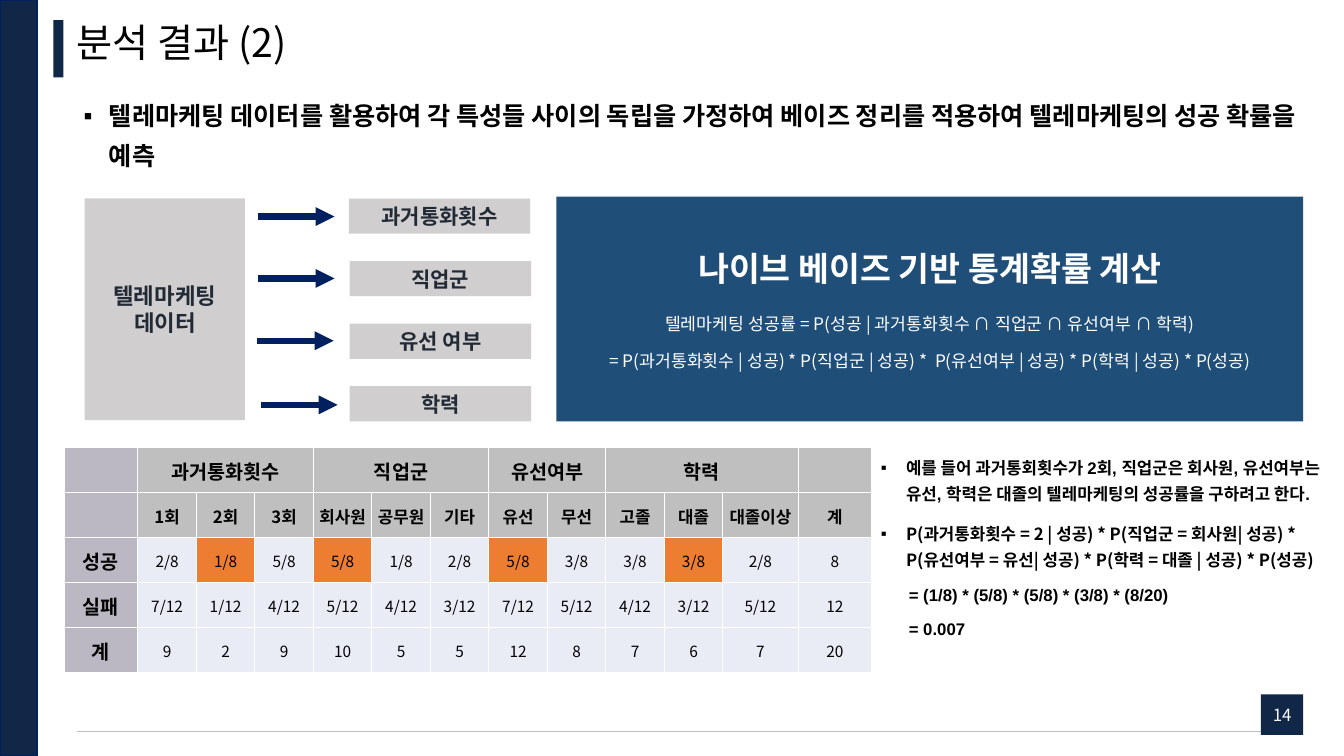
"""Build the naive Bayes telemarketing results slide."""
from lxml import etree
from pptx import Presentation
from pptx.dml.color import RGBColor
from pptx.enum import shapes, text
from pptx.oxml import ns
from pptx.util import Pt

NAVY = RGBColor(0x10, 0x27, 0x47)
ARROW = RGBColor(0x00, 0x20, 0x60)
BLUE = RGBColor(0x1F, 0x4E, 0x79)
GRAY = RGBColor(0xD0, 0xCE, 0xCE)
HEADER = RGBColor(0xBF, 0xBF, 0xBF)
STUB = RGBColor(0xBB, 0xB8, 0xC4)
CELL = RGBColor(0xE9, 0xEB, 0xF5)
ORANGE = RGBColor(0xED, 0x7D, 0x31)
SLATE = RGBColor(0x22, 0x2A, 0x35)
BLACK = RGBColor(0, 0, 0)
WHITE = RGBColor(0xFF, 0xFF, 0xFF)
NOTO = "Noto Sans CJK KR"
ARIAL = "Arial"
CENTER = text.PP_ALIGN.CENTER
MIDDLE = text.MSO_ANCHOR.MIDDLE

TITLE = "분석 결과 (2)"
SUMMARY = ("텔레마케팅 데이터를 활용하여 각 특성들 사이의 독립을 가정하여 "
           "베이즈 정리를 적용하여 텔레마케팅의 성공 확률을 예측")
SOURCE = ["텔레마케팅", "데이터"]
FEATURES = [
    ("과거통화횟수", 249.2, 184.3, 154.7),
    ("직업군", 249.8, 184.3, 198.9),
    ("유선 여부", 249.8, 183.6, 243.4),
    ("학력", 249.8, 186.5, 289.2),
]
FORMULA_TITLE = "나이브 베이즈 기반 통계확률 계산"
FORMULAS = [
    ("텔레마케팅 성공률 = P(성공 | 과거통화횟수 ∩ 직업군 ∩ 유선여부 ∩ 학력)", 18),
    ("= P(과거통화횟수 | 성공) * P(직업군 | 성공) *  P(유선여부 | 성공) * P(학력 | 성공) * P(성공)", 11.5),
]
GROUPS = [("과거통화횟수", 1, 3), ("직업군", 4, 6), ("유선여부", 7, 8), ("학력", 9, 11)]
ROWS = [
    [""] * 13,
    ["", "1회", "2회", "3회", "회사원", "공무원", "기타", "유선", "무선", "고졸", "대졸", "대졸이상", "계"],
    ["성공", "2/8", "1/8", "5/8", "5/8", "1/8", "2/8", "5/8", "3/8", "3/8", "3/8", "2/8", "8"],
    ["실패", "7/12", "1/12", "4/12", "5/12", "4/12", "3/12", "7/12", "5/12", "4/12", "3/12", "5/12", "12"],
    ["계", "9", "2", "9", "10", "5", "5", "12", "8", "7", "6", "7", "20"],
]
HIGHLIGHTS = {(2, 2), (2, 4), (2, 7), (2, 10)}
COLUMN_WIDTHS = [52.8] + [41.8] * 10 + [53.8, 52.6]
ROW_HEIGHT = 32.1
EXAMPLE = [
    ("예를 들어 과거통회횟수가 2회, 직업군은 회사원, 유선여부는 유선, "
     "학력은 대졸의 텔레마케팅의 성공률을 구하려고 한다.", ARIAL),
    ("P(과거통화횟수 = 2 | 성공) * P(직업군 = 회사원| 성공) * P(유선여부 = 유선| 성공) "
     "* P(학력 = 대졸 | 성공) * P(성공)", NOTO),
]
RESULTS = ["= (1/8) * (5/8) * (5/8) * (3/8) * (8/20)", "= 0.007"]
PAGE = "14"


def add_text(frame, words, size, color, bold=False, font=NOTO, align=None, before=0, spacing=1.0):
    paragraph = frame.paragraphs[0]
    if paragraph.runs:
        paragraph = frame.add_paragraph()
    paragraph.alignment = align
    paragraph.space_before = Pt(before)
    paragraph.line_spacing = spacing
    run = paragraph.add_run()
    run.text = words
    run.font.size = Pt(size)
    run.font.bold = bold
    run.font.color.rgb = color
    run.font.name = font
    etree.SubElement(run.font._element, ns.qn("a:ea"), typeface=NOTO)
    return paragraph


def set_indent(paragraph, left, first=0, bullet=None):
    properties = paragraph._p.get_or_add_pPr()
    properties.set("marL", str(Pt(left)))
    properties.set("indent", str(Pt(first)))
    if bullet:
        etree.SubElement(properties, ns.qn("a:buFont"), typeface=ARIAL)
        etree.SubElement(properties, ns.qn("a:buChar"), char=bullet)


def set_frame(frame, anchor, horizontal=0, vertical=0):
    frame.word_wrap = True
    frame.auto_size = text.MSO_AUTO_SIZE.NONE
    frame.vertical_anchor = anchor
    frame.margin_left = frame.margin_right = Pt(horizontal)
    frame.margin_top = frame.margin_bottom = Pt(vertical)


def place(shape, left, top, width, height):
    shape.left, shape.top, shape.width, shape.height = map(Pt, (left, top, width, height))


def add_box(slide, left, top, width, height, fill):
    shape = slide.shapes.add_shape(shapes.MSO_SHAPE.RECTANGLE, *map(Pt, (left, top, width, height)))
    shape.shadow.inherit = False
    shape.fill.solid()
    shape.fill.fore_color.rgb = fill
    shape.line.fill.background()
    set_frame(shape.text_frame, MIDDLE)
    return shape


def add_line(slide, left, right, y, color, width, arrow=False):
    connector = slide.shapes.add_connector(
        shapes.MSO_CONNECTOR.STRAIGHT, Pt(left), Pt(y), Pt(right), Pt(y))
    connector.line.color.rgb = color
    connector.line.width = Pt(width)
    if arrow:
        etree.SubElement(connector.line._get_or_add_ln(), ns.qn("a:tailEnd"), type="triangle")
    etree.SubElement(connector._element.spPr, ns.qn("a:effectLst"))


def style_cell(cell, fill):
    properties = cell._tc.get_or_add_tcPr()
    for side in ("lnL", "lnR", "lnT", "lnB"):
        border = etree.SubElement(properties, ns.qn("a:" + side), w=str(Pt(1)))
        solid = etree.SubElement(border, ns.qn("a:solidFill"))
        etree.SubElement(solid, ns.qn("a:srgbClr"), val=str(WHITE))
    cell.fill.solid()
    cell.fill.fore_color.rgb = fill
    cell.vertical_anchor = MIDDLE
    cell.margin_left = cell.margin_right = cell.margin_top = Pt(0.72)
    cell.margin_bottom = Pt(0)


def add_probability_table(slide):
    frame = slide.shapes.add_table(
        len(ROWS), len(COLUMN_WIDTHS), Pt(45.7), Pt(319.9),
        Pt(sum(COLUMN_WIDTHS)), Pt(ROW_HEIGHT * len(ROWS)))
    table = frame.table
    table.first_row = table.horz_banding = False
    for column, width in zip(table.columns, COLUMN_WIDTHS):
        column.width = Pt(width)
    for r, values in enumerate(ROWS):
        table.rows[r].height = Pt(ROW_HEIGHT)
        for c, value in enumerate(values):
            cell = table.cell(r, c)
            fill = STUB if c == 0 else HEADER if r < 2 else ORANGE if (r, c) in HIGHLIGHTS else CELL
            style_cell(cell, fill)
            if value:
                size = 14 if c == 0 else 12 if r < 2 else 11
                add_text(cell.text_frame, value, size, BLACK, size > 11, align=CENTER)
    for label, first, last in GROUPS:
        cell = table.cell(0, first)
        cell.merge(table.cell(0, last))
        add_text(cell.text_frame, label, 14, BLACK, True, align=CENTER)


def main():
    presentation = Presentation()
    presentation.slide_width, presentation.slide_height = Pt(960), Pt(540)
    slide = presentation.slides.add_slide(presentation.slide_layouts[1])

    title, body = slide.placeholders
    place(title, 54.7, 4.3, 886.3, 55.4)
    set_frame(title.text_frame, MIDDLE)
    add_text(title.text_frame, TITLE, 28, BLACK, align=text.PP_ALIGN.LEFT, spacing=0.9)
    place(body, 52.6, 61.9, 891.4, 62.6)
    set_frame(body.text_frame, text.MSO_ANCHOR.TOP, 7.2, 3.6)
    summary = add_text(body.text_frame, SUMMARY, 18, BLACK, True, ARIAL, before=10, spacing=1.3)
    set_indent(summary, 18, -18, "▪")

    sidebar = add_box(slide, 0, 0, 26.6, 540, NAVY)
    sidebar.line.color.rgb = ARROW
    sidebar.line.width = Pt(1)
    add_box(slide, 38.2, 14.4, 7.2, 41, NAVY)

    source = add_box(slide, 60.5, 141.8, 114.5, 158.4, GRAY)
    for line in SOURCE:
        add_text(source.text_frame, line, 16, SLATE, True, align=CENTER)
    for index, (label, left, arrow_left, arrow_y) in enumerate(FEATURES):
        feature = add_box(slide, left, 141.8 + 44.64 * index, 129.6, 25.2, GRAY)
        add_text(feature.text_frame, label, 15, SLATE, True, align=CENTER)
        add_line(slide, arrow_left, arrow_left + 54.7, arrow_y, ARROW, 4.5, True)

    formula = add_box(slide, 397.4, 140.4, 533.5, 160.6, BLUE)
    add_text(formula.text_frame, FORMULA_TITLE, 24, WHITE, True, align=CENTER)
    for line, gap in FORMULAS:
        add_text(formula.text_frame, line, 12.3, WHITE, align=CENTER, before=gap)

    add_probability_table(slide)

    example = slide.shapes.add_textbox(Pt(622.1), Pt(319), Pt(334.1), Pt(142.6))
    set_frame(example.text_frame, text.MSO_ANCHOR.TOP, 7.2, 3.6)
    for line, font in EXAMPLE:
        paragraph = add_text(example.text_frame, line, 12, BLACK, True, font, before=10, spacing=1.3)
        set_indent(paragraph, 18, -18, "▪")
    for line in RESULTS:
        paragraph = add_text(example.text_frame, line, 12, BLACK, True, ARIAL, before=10)
        set_indent(paragraph, 20)

    add_line(slide, 54.7, 931, 522.7, HEADER, 0.5)
    page = add_box(slide, 900.7, 496.1, 30.2, 28.8, NAVY)
    add_text(page.text_frame, PAGE, 12, WHITE, align=CENTER)
    presentation.save("out.pptx")


if __name__ == "__main__":
    main()
